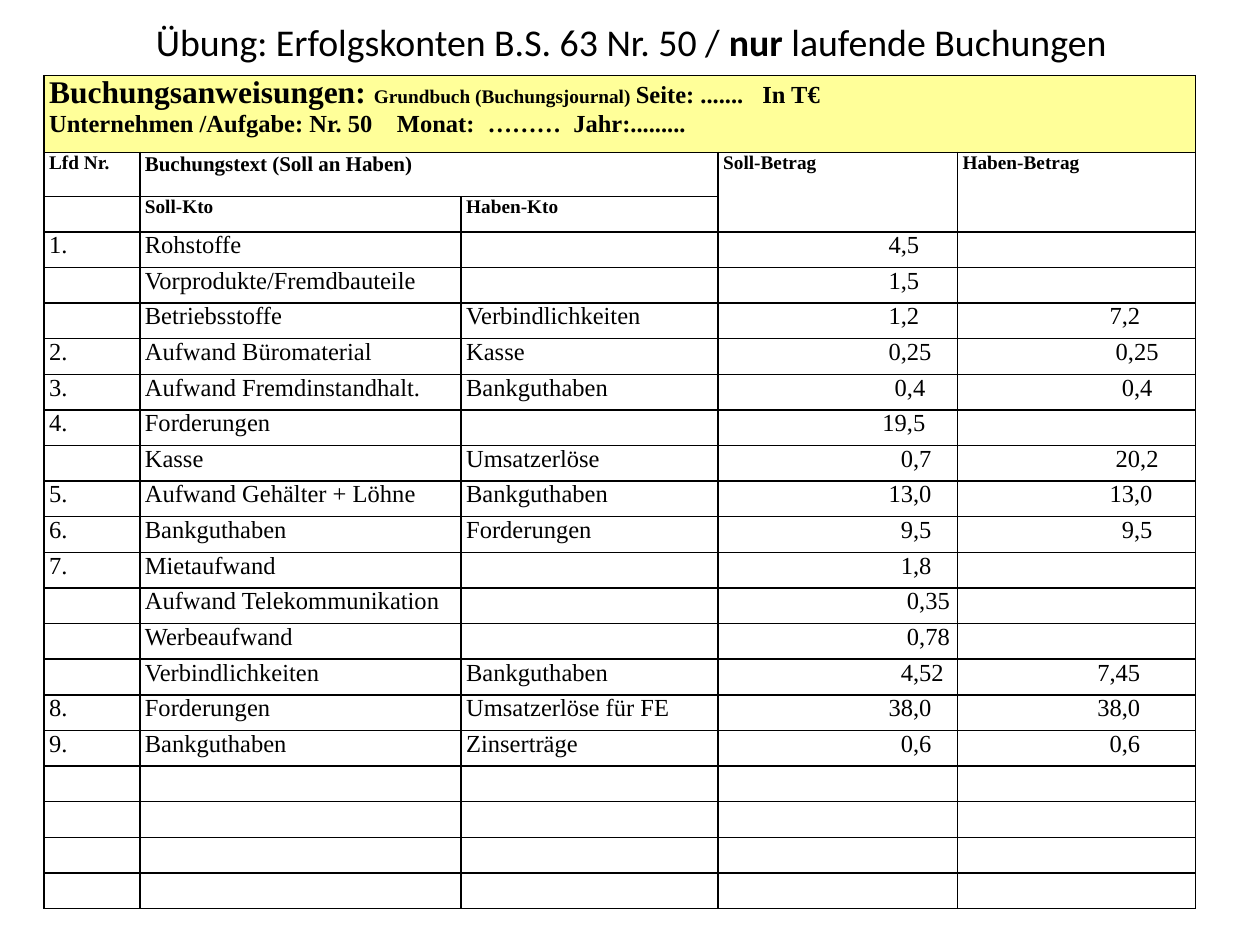
import pptx
import pptx.util
import pptx.dml.color
import pptx.enum.text
import pptx.oxml.ns
from lxml import etree

BLACK = pptx.dml.color.RGBColor(0x00, 0x00, 0x00)
YELLOW = pptx.dml.color.RGBColor(0xFF, 0xFF, 0x99)
BODY_FONT = "Times New Roman"
INDENT_UNIT = 3.5
COLUMNS = [0.76, 2.55, 2.04, 1.9, 1.89]
HEADER_HEIGHTS = [0.61, 0.35, 0.28]
ENTRY_HEIGHT = 0.283
EMPTY_ROWS = 4
HEADER_TABS = [2.76, 3.48, 4.16, 5.66]
SIDES = ("L", "R", "T", "B")

ENTRIES = [
    ("1.", "Rohstoffe", "", (27, "4,5"), None),
    ("", "Vorprodukte/Fremdbauteile", "", (27, "1,5"), None),
    ("", "Betriebsstoffe", "Verbindlichkeiten", (27, "1,2"), (24, "7,2")),
    ("2.", "Aufwand Büromaterial", "Kasse", (27, "0,25"), (25, "0,25")),
    ("3.", "Aufwand Fremdinstandhalt.", "Bankguthaben", (28, "0,4"), (26, "0,4")),
    ("4.", "Forderungen", "", (26, "19,5"), None),
    ("", "Kasse", "Umsatzerlöse", (29, "0,7"), (25, "20,2")),
    ("5.", "Aufwand Gehälter + Löhne", "Bankguthaben", (27, "13,0"), (24, "13,0")),
    ("6.", "Bankguthaben", "Forderungen", (29, "9,5"), (26, "9,5")),
    ("7.", "Mietaufwand", "", (29, "1,8"), None),
    ("", "Aufwand Telekommunikation", "", (30, "0,35"), None),
    ("", "Werbeaufwand", "", (30, "0,78"), None),
    ("", "Verbindlichkeiten", "Bankguthaben", (29, "4,52"), (22, "7,45")),
    ("8.", "Forderungen", "Umsatzerlöse für FE", (27, "38,0"), (22, "38,0")),
    ("9.", "Bankguthaben", "Zinserträge", (29, "0,6"), (24, "0,6")),
]


def add_element(parent, tag, **attributes):
    return etree.SubElement(parent, pptx.oxml.ns.qn(tag), **attributes)


def add_run(p, text, size, bold=False, font=BODY_FONT):
    r = p.add_run()
    r.text = text
    r.font.name = font
    r.font.size = pptx.util.Pt(size)
    r.font.bold = bold
    r.font.color.rgb = BLACK


def add_title(s):
    sp = s.shapes.title
    sp.left, sp.top, sp.width, sp.height = map(
        pptx.util.Inches, (0.51, 0.13, 9, 0.39))
    tf = sp.text_frame
    tf.auto_size = pptx.enum.text.MSO_AUTO_SIZE.NONE
    tf.vertical_anchor = pptx.enum.text.MSO_ANCHOR.MIDDLE
    p = tf.paragraphs[0]
    p.alignment = pptx.enum.text.PP_ALIGN.CENTER
    for text, bold in (("Übung: Erfolgskonten B.S. 63 Nr. 50 / ", False),
                       ("nur", True), (" laufende Buchungen", False)):
        add_run(p, text, 21.6, bold, "Calibri")


def format_cell(cell, open_sides=()):
    cell.margin_left = cell.margin_right = pptx.util.Inches(0.04)
    cell.margin_top = cell.margin_bottom = 0
    tc_pr = cell._tc.get_or_add_tcPr()
    for side in SIDES:
        ln = add_element(tc_pr, "a:ln" + side, w=str(pptx.util.Pt(1)))
        if side in open_sides:
            add_element(ln, "a:noFill")
        else:
            fill = add_element(ln, "a:solidFill")
            add_element(fill, "a:srgbClr", val=str(BLACK))
    cell.fill.background()


def write_cell(cell, text, size=14, bold=False, indent=0):
    p = cell.text_frame.paragraphs[0]
    if indent:
        p._p.get_or_add_pPr().set("marL", str(pptx.util.Pt(indent * INDENT_UNIT)))
    if text:
        add_run(p, text, size, bold)
    else:
        add_element(p._p, "a:endParaRPr", sz=str(size * 100))


def write_heading(cell):
    cell.fill.solid()
    cell.fill.fore_color.rgb = YELLOW
    p = cell.text_frame.paragraphs[0]
    tabs = add_element(p._p.get_or_add_pPr(), "a:tabLst")
    for position in HEADER_TABS:
        add_element(tabs, "a:tab", pos=str(pptx.util.Inches(position)), algn="l")
    add_run(p, "Buchungsanweisungen: ", 18, True)
    add_run(p, "Grundbuch (Buchungsjournal) ", 11, True)
    add_run(p, "Seite: .......\tIn T€", 14, True)
    p.add_line_break()
    add_run(p, "Unternehmen /Aufgabe: Nr. 50\tMonat:\t………\tJahr:.........", 14, True)


def add_journal(s):
    heights = HEADER_HEIGHTS + [ENTRY_HEIGHT] * (len(ENTRIES) + EMPTY_ROWS)
    table = s.shapes.add_table(
        len(heights), len(COLUMNS), *map(
            pptx.util.Inches, (0.35, 0.6, sum(COLUMNS), sum(heights)))).table
    table.first_row = table.horz_banding = False
    for column, width in zip(table.columns, COLUMNS):
        column.width = pptx.util.Inches(width)
    for row, height in zip(table.rows, heights):
        row.height = pptx.util.Inches(height)

    open_sides = {(1, 3): "B", (1, 4): "B", (2, 3): "T", (2, 4): "T"}
    for i in range(len(heights)):
        for j in range(len(COLUMNS)):
            format_cell(table.cell(i, j), open_sides.get((i, j), ()))
    table.cell(0, 0).merge(table.cell(0, 4))
    table.cell(1, 1).merge(table.cell(1, 2))

    write_heading(table.cell(0, 0))
    labels = [("Lfd Nr.", "Buchungstext (Soll an Haben)", "",
               "Soll-Betrag", "Haben-Betrag"),
              ("", "Soll-Kto", "Haben-Kto", "", "")]
    for i, row in enumerate(labels, 1):
        for j, text in enumerate(row):
            write_cell(table.cell(i, j), text, 12 if (i, j) == (1, 1) else 11, True)

    blank = ("", "", "", None, None)
    for i, entry in enumerate(ENTRIES + [blank] * EMPTY_ROWS, len(HEADER_HEIGHTS)):
        for j, text in enumerate(entry[:3]):
            write_cell(table.cell(i, j), text)
        for j, amount in enumerate(entry[3:], 3):
            indent, text = amount or (0, "")
            write_cell(table.cell(i, j), text, indent=indent)


def main():
    prs = pptx.Presentation()
    prs.slide_width = pptx.util.Inches(10)
    prs.slide_height = pptx.util.Inches(7.5)
    s = prs.slides.add_slide(prs.slide_layouts[5])
    add_title(s)
    add_journal(s)
    prs.save("out.pptx")


if __name__ == "__main__":
    main()
